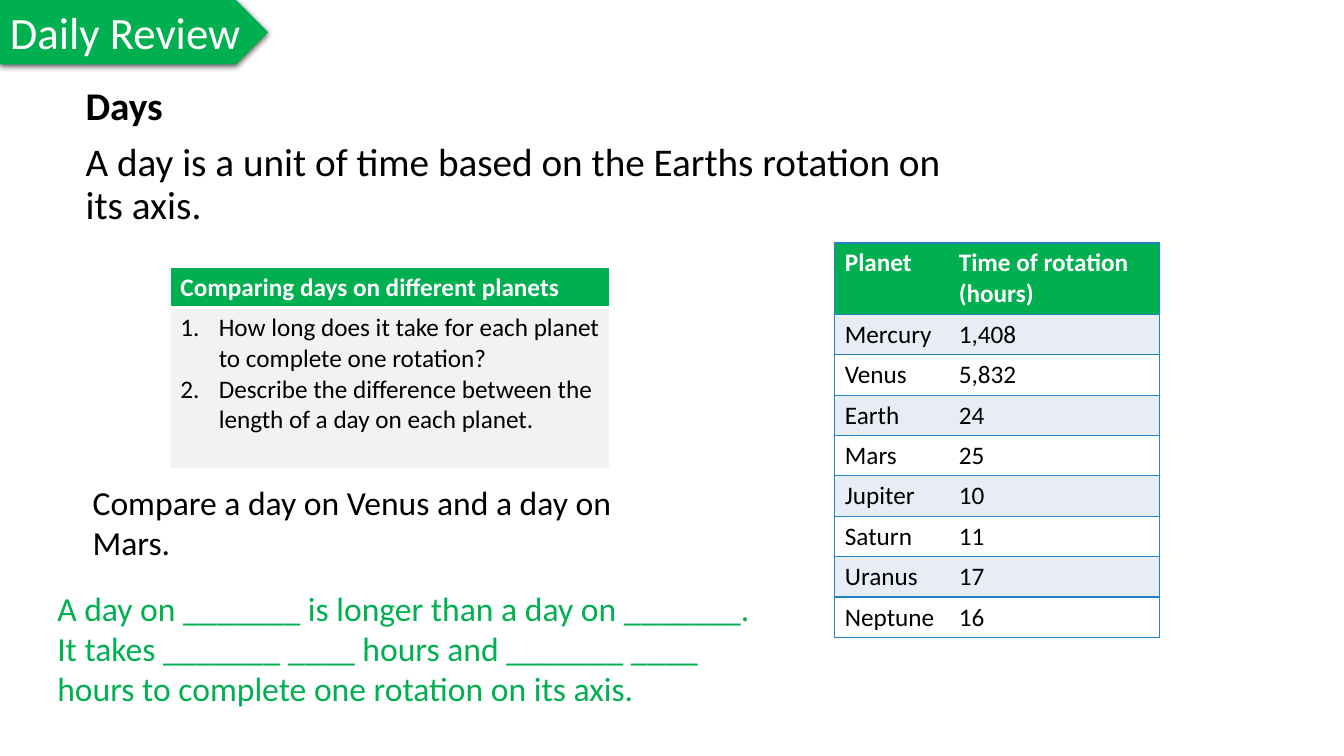
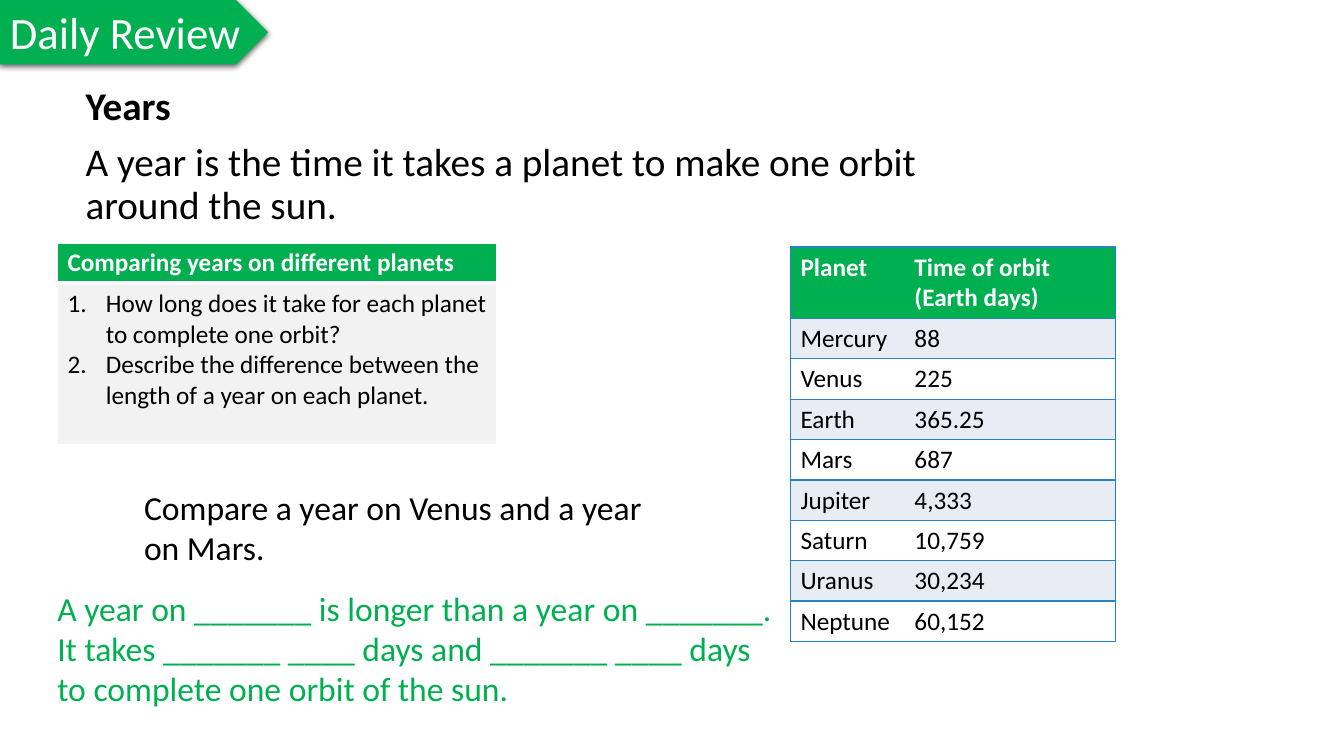
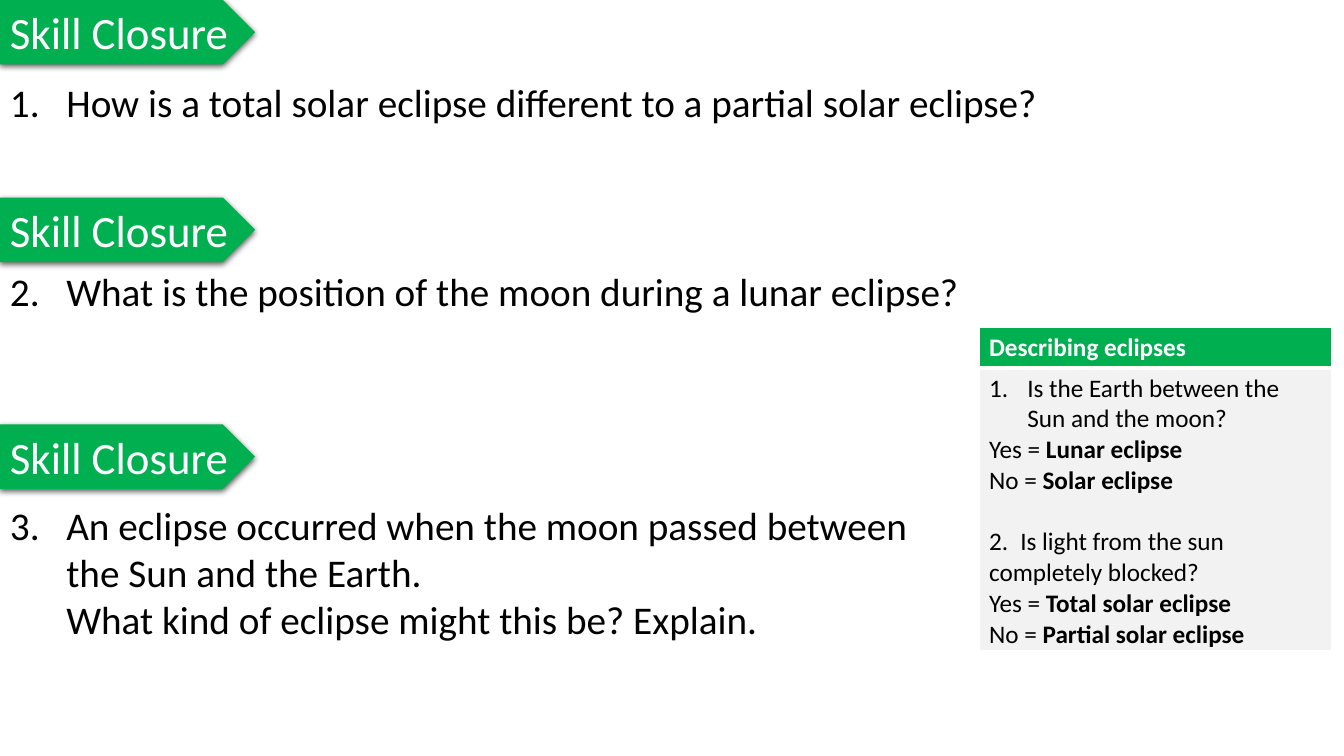
from dataclasses import dataclass

from lxml.etree import SubElement
from pptx import Presentation
from pptx.dml.color import RGBColor
from pptx.enum.shapes import MSO_SHAPE as Shape
from pptx.enum.text import MSO_ANCHOR as Anchor, MSO_AUTO_SIZE as AutoSize, PP_ALIGN as Align
from pptx.oxml.ns import qn
from pptx.util import Emu, Pt

# Shared look: 100 px to the inch
EMU_PER_PX = 9144
SLIDE_SIZE = (1333, 750)
FONT = "Calibri"
GREEN, BLUE, BLACK, WHITE = "00B050", "2683C6", "000000", "FFFFFF"
BAND, PANEL = "E8EDF5", "F2F2F2"
TAG_HEIGHT = 64
CARD_HEADER = 40
PLANETS = ("Mercury", "Venus", "Earth", "Mars", "Jupiter", "Saturn", "Uranus", "Neptune")


@dataclass(frozen=True)
class Line:
    """One paragraph; phrases alternate between plain and bold text."""
    phrases: tuple[str, ...]
    number_indent: int = 0
    tab_stop: int = 0
    space_before: int = 0
    line_spacing: float = 1.0


@dataclass(frozen=True)
class Card:
    left: int
    top: int
    width: int
    body_height: int
    title: str
    lines: tuple[Line, ...]


@dataclass(frozen=True)
class Review:
    heading: str
    definition: str
    card: Card
    table_at: tuple[int, int]
    measure: str
    values: tuple[str, ...]
    prompt_at: tuple[int, int]
    prompt: str
    frame: str


def px(length: int) -> Emu:
    return Emu(length * EMU_PER_PX)


def color(hex_value: str) -> RGBColor:
    return RGBColor.from_string(hex_value)


# Text
def write_lines(text_frame, lines, size: int, text_color: str = BLACK) -> None:
    for index, line in enumerate(lines):
        paragraph = text_frame.paragraphs[0] if index == 0 else text_frame.add_paragraph()
        properties = paragraph._p.get_or_add_pPr()
        if line.number_indent:
            properties.set("marL", str(px(line.number_indent)))
            properties.set("indent", str(-px(line.number_indent)))
            SubElement(properties, qn("a:buFont"), typeface="+mj-lt")
            SubElement(properties, qn("a:buAutoNum"), type="arabicPeriod")
        if line.tab_stop:
            tabs = SubElement(properties, qn("a:tabLst"))
            SubElement(tabs, qn("a:tab"), pos=str(px(line.tab_stop)), algn="l")
        layout = {"alignment": Align.LEFT, "line_spacing": line.line_spacing,
                  "space_before": Pt(line.space_before)}
        for name, value in layout.items():
            setattr(paragraph, name, value)
        for position, phrase in enumerate(line.phrases):
            for row, text in enumerate(phrase.split("\n")):
                if row:
                    paragraph.add_line_break()
                if not text:
                    continue
                run = paragraph.add_run()
                run.text = text
                style = {"name": FONT, "size": Pt(size), "bold": position % 2 == 1}
                for name, value in style.items():
                    setattr(run.font, name, value)
                run.font.color.rgb = color(text_color)


def add_text(slide, left: int, top: int, width: int, height: int, lines,
             size: int, text_color: str = BLACK) -> None:
    box = slide.shapes.add_textbox(*map(px, (left, top, width, height)))
    box.text_frame.word_wrap = True
    write_lines(box.text_frame, lines, size, text_color)


# Green arrow tag with a soft shadow
def add_tag(slide, text: str, width: int, top: int = 0) -> None:
    tag = slide.shapes.add_shape(Shape.PENTAGON, *map(px, (0, top, width, TAG_HEIGHT)))
    tag.fill.solid()
    tag.fill.fore_color.rgb = color(GREEN)
    tag.line.fill.background()
    tag.shadow.inherit = False
    effects = tag.element.spPr.find(qn("a:effectLst"))
    shadow = SubElement(effects, qn("a:outerShdw"), blurRad=str(Pt(4.5)), dist=str(Pt(1.5)),
                        dir="5400000", algn="ctr", rotWithShape="0")
    shade = SubElement(shadow, qn("a:srgbClr"), val=BLACK)
    SubElement(shade, qn("a:alpha"), val="63000")
    frame = {"word_wrap": False, "auto_size": AutoSize.SHAPE_TO_FIT_TEXT,
             "vertical_anchor": Anchor.TOP}
    for name, value in frame.items():
        setattr(tag.text_frame, name, value)
    write_lines(tag.text_frame, [Line((text,))], 32, WHITE)


# Tables
def add_plain_table(slide, left: int, top: int, widths, heights):
    table = slide.shapes.add_table(len(heights), len(widths), px(left), px(top),
                                   px(sum(widths)), px(sum(heights))).table
    table.first_row = table.horz_banding = False
    for column, width in zip(table.columns, widths):
        column.width = px(width)
    for row, height in zip(table.rows, heights):
        row.height = px(height)
    return table


def fill_cell(cell, lines, fill: str, text_color: str, borders: dict[str, int],
              border_color: str) -> None:
    """Borders maps the sides L, R, T, B to point widths; other sides stay bare."""
    properties = cell._tc.get_or_add_tcPr()
    for side in "LRTB":
        edge = SubElement(properties, qn(f"a:ln{side}"), w=str(Pt(borders.get(side, 0))))
        if side in borders:
            solid = SubElement(edge, qn("a:solidFill"))
            SubElement(solid, qn("a:srgbClr"), val=border_color)
        else:
            SubElement(edge, qn("a:noFill"))
    cell.fill.solid()
    cell.fill.fore_color.rgb = color(fill)
    write_lines(cell.text_frame, lines, 18, text_color)


def add_card(slide, card: Card) -> None:
    table = add_plain_table(slide, card.left, card.top, [card.width],
                            [CARD_HEADER, card.body_height])
    sides = dict.fromkeys("LRTB", 1)
    fill_cell(table.cell(0, 0), [Line(("", card.title))], GREEN, WHITE, sides | {"B": 3}, WHITE)
    fill_cell(table.cell(1, 0), card.lines, PANEL, BLACK, sides | {"T": 3}, WHITE)


def add_planet_table(slide, review: Review) -> None:
    rows = [("Planet", review.measure), *zip(PLANETS, review.values)]
    table = add_plain_table(slide, *review.table_at, [113, 209], [71] + [40] * len(PLANETS))
    for row, texts in enumerate(rows):
        header = row == 0
        fill = GREEN if header else BAND if row % 2 else WHITE
        for column, text in enumerate(texts):
            line = Line(("", text) if header else (text,))
            sides = dict.fromkeys("LTB" if column == 0 else "RTB", 1)
            fill_cell(table.cell(row, column), [line], fill, WHITE if header else BLACK,
                      sides, BLUE)


# Slides
def add_review(slide, review: Review) -> None:
    add_tag(slide, "Daily Review", 266)
    add_text(slide, 75, 81, 895, 445, [
        Line(("", review.heading), line_spacing=0.9),
        Line((review.definition,), space_before=10, line_spacing=0.9)], 28)
    add_card(slide, review.card)
    add_planet_table(slide, review)
    add_text(slide, *review.prompt_at, 551, 91, [Line((review.prompt,))], 24)
    add_text(slide, 47, 578, 730, 131, [Line((review.frame,))], 24, GREEN)


def add_closure(slide) -> None:
    add_text(slide, 0, 73, 1252, 670, [
        Line(("How is a total solar eclipse different to a partial solar eclipse?",), 56),
        Line(("What is the position of the moon during a lunar eclipse?",), 56,
             space_before=101),
        Line(("An eclipse occurred when the moon passed between\nthe Sun and the Earth.\n"
              "What kind of eclipse might this be? Explain.",), 56, space_before=134)], 28)
    for top in (0, 196, 421):
        add_tag(slide, "Skill Closure", 253, top)
    add_card(slide, Card(971, 325, 350, 280, "Describing eclipses", (
        Line(("Is the Earth between the Sun and the moon?",), 38),
        Line(("Yes = ", "Lunar eclipse")),
        Line(("No = ", "Solar eclipse")),
        Line(("2.\tIs light from the sun completely blocked?",), tab_stop=31, space_before=22),
        Line(("Yes = ", "Total solar eclipse")),
        Line(("No = ", "Partial solar eclipse")))))


def question_card(left: int, top: int, unit: str, motion: str) -> Card:
    return Card(left, top, 436, 160, f"Comparing {unit}s on different planets", (
        Line((f"How long does it take for each planet to complete one {motion}?",), 38),
        Line((f"Describe the difference between the length of a {unit} on each planet.",), 38)))


REVIEWS = (
    Review("Days", "A day is a unit of time based on the Earths rotation on its axis.",
           question_card(169, 265, "day", "rotation"),
           (828, 241), "Time of rotation (hours)",
           ("1,408", "5,832", "24", "25", "10", "11", "17", "16"),
           (82, 473), "Compare a day on Venus and a day on Mars.",
           "A day on _______ is longer than a day on _______. It takes _______ ____ hours "
           "and _______ ____ hours to complete one rotation on its axis."),
    Review("Years", "A year is the time it takes a planet to make one orbit around the sun.",
           question_card(57, 241, "year", "orbit"),
           (784, 245), "Time of orbit (Earth days)",
           ("88", "225", "365.25", "687", "4,333", "10,759", "30,234", "60,152"),
           (133, 478), "Compare a year on Venus and a year on Mars.",
           "A year on _______ is longer than a year on _______. It takes _______ ____ days "
           "and _______ ____ days to complete one orbit of the sun."),
)


def main() -> None:
    presentation = Presentation()
    presentation.slide_width, presentation.slide_height = map(px, SLIDE_SIZE)
    blank = presentation.slide_layouts[6]
    for review in REVIEWS:
        add_review(presentation.slides.add_slide(blank), review)
    add_closure(presentation.slides.add_slide(blank))
    presentation.save("out.pptx")


if __name__ == "__main__":
    main()
